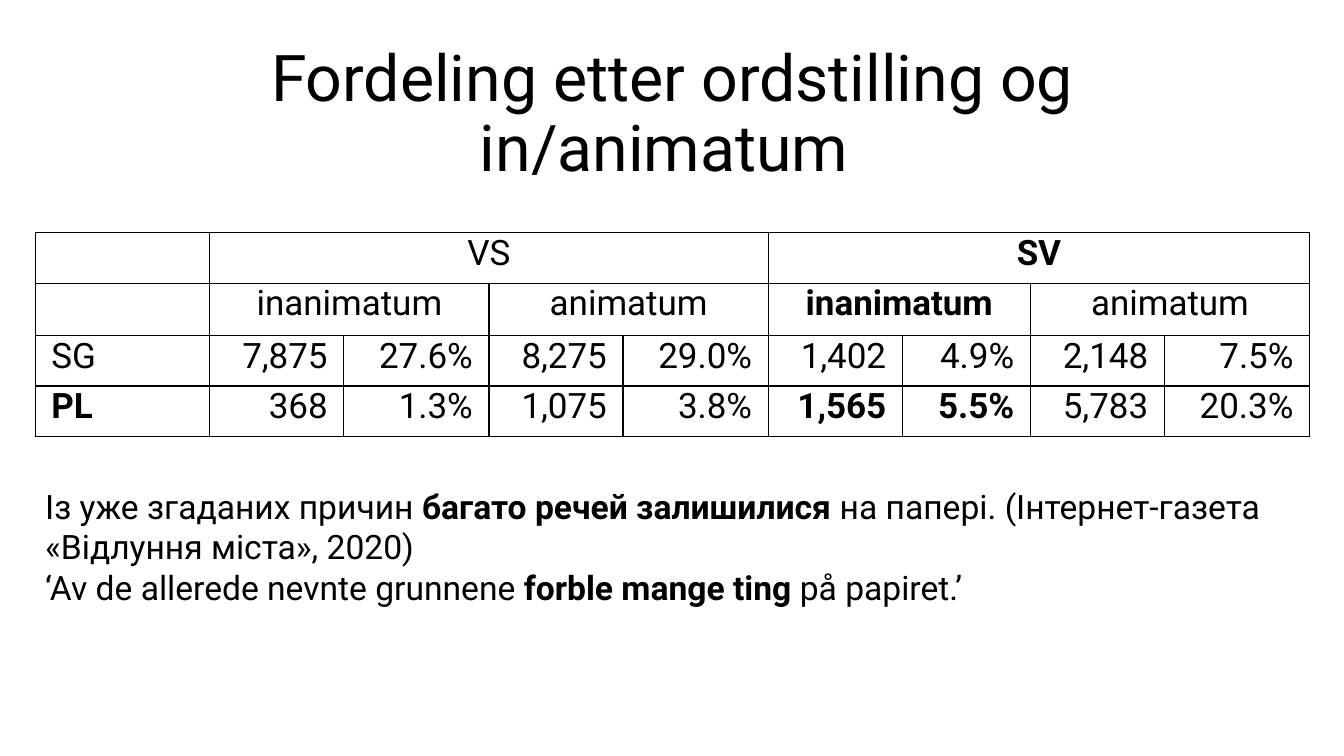
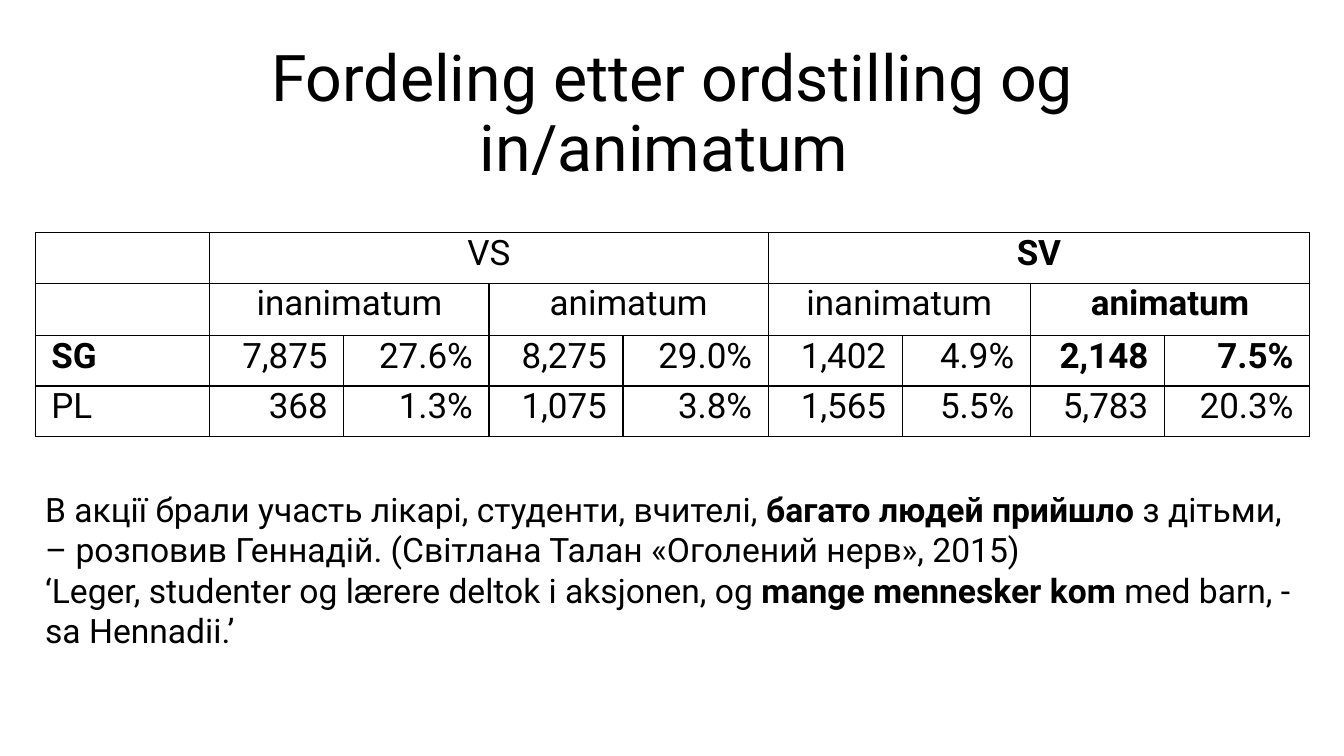
from dataclasses import dataclass

from lxml import etree
from pptx import Presentation
from pptx.dml import color
from pptx.enum import text as t
from pptx.oxml import ns
from pptx.util import Inches, Pt

BLACK = color.RGBColor(0x00, 0x00, 0x00)
WHITE = color.RGBColor(0xFF, 0xFF, 0xFF)
FONT = "Roboto"
TITLE = "Fordeling etter ordstilling og in/animatum "
LEFT, WIDTH = 0.35, 12.63
COLUMN_WIDTHS = (1.73, 1.33, 1.44, 1.33, 1.44, 1.33, 1.27, 1.33, 1.44)
ROW_HEIGHTS = (0.5, 0.52, 0.5, 0.5)
ORDERS = ("VS", "SV")
ANIMACY = ("inanimatum", "animatum") * len(ORDERS)
NUMBERS = {
    "SG": ("7,875", "27.6%", "8,275", "29.0%", "1,402", "4.9%", "2,148", "7.5%"),
    "PL": ("368", "1.3%", "1,075", "3.8%", "1,565", "5.5%", "5,783", "20.3%"),
}


@dataclass(frozen=True)
class Example:
    """A highlighted table group with sentences split as plain, bold, plain."""
    number: str
    group: int
    top: float
    height: float
    sentences: tuple[tuple[str, str, str], ...]


EXAMPLES = (
    Example("PL", 2, 4.77, 1.31, (
        ("Із уже згаданих причин ", "багато речей залишилися ",
         "на папері. (Інтернет-газета «Відлуння міста», 2020)"),
        ("‘Av de allerede nevnte grunnene ", "forble mange ting ", "på papiret.’"),
    )),
    Example("SG", 3, 4.8, 2.02, (
        ("В акції брали участь лікарі, студенти, вчителі, ", "багато людей прийшло ",
         "з дітьми, – розповив Геннадій. (Світлана Талан «Оголений нерв», 2015)"),
        ("‘Leger, studenter og lærere deltok i aksjonen, og ", "mange mennesker kom ",
         "med barn, - sa Hennadii.’"),
    )),
)


def add_text(paragraph, content: str, *, size: float, bold: bool = False,
             align=t.PP_ALIGN.LEFT) -> None:
    """Append a formatted run to a paragraph."""
    paragraph.alignment = align
    run = paragraph.add_run()
    run.text = content
    run.font.name = FONT
    run.font.size = Pt(size)
    run.font.bold = bold
    run.font.color.rgb = BLACK


def style_cell(cell) -> None:
    """Give a cell thin black borders, a white fill and its insets."""
    properties = cell._tc.get_or_add_tcPr()
    for side in ("lnL", "lnR", "lnT", "lnB"):
        line = etree.SubElement(properties, ns.qn(f"a:{side}"), w=str(Pt(1)))
        fill = etree.SubElement(line, ns.qn("a:solidFill"))
        etree.SubElement(fill, ns.qn("a:srgbClr"), val=str(BLACK))
    cell.fill.solid()
    cell.fill.fore_color.rgb = WHITE
    cell.margin_left = cell.margin_right = Inches(0.16)
    cell.margin_top = cell.margin_bottom = 0


def add_title(slide) -> None:
    """Place the shared title in the title placeholder."""
    title = slide.shapes.title
    title.left, title.top = Inches(0.7), Inches(0.46)
    title.width, title.height = Inches(11.93), Inches(1.37)
    frame = title.text_frame
    frame.word_wrap = True
    frame.auto_size = t.MSO_AUTO_SIZE.NONE
    frame.vertical_anchor = t.MSO_ANCHOR.MIDDLE
    frame.margin_left = frame.margin_right = Inches(0.2)
    paragraph = frame.paragraphs[0]
    paragraph.line_spacing = 0.9
    add_text(paragraph, TITLE, size=46, align=t.PP_ALIGN.CENTER)


def add_distribution(slide, example: Example) -> None:
    """Draw the distribution table with one group in bold."""
    table = slide.shapes.add_table(
        len(ROW_HEIGHTS), len(COLUMN_WIDTHS), Inches(LEFT), Inches(2.31),
        Inches(WIDTH), Inches(sum(ROW_HEIGHTS))).table
    table.first_row = table.horz_banding = False
    for column, width in zip(table.columns, COLUMN_WIDTHS):
        column.width = Inches(width)
    for row, height in zip(table.rows, ROW_HEIGHTS):
        row.height = Inches(height)
    for cell in table.iter_cells():
        style_cell(cell)

    def write(row: int, column: int, content: str, bold: bool, align) -> None:
        """Fill one table cell."""
        add_text(table.cell(row, column).text_frame.paragraphs[0], content,
                 size=25, bold=bold, align=align)

    for row, labels in enumerate((ORDERS, ANIMACY)):
        span = 8 // len(labels)
        for index, label in enumerate(labels):
            first = 1 + index * span
            table.cell(row, first).merge(table.cell(row, first + span - 1))
            bold = index == example.group * len(labels) // len(ANIMACY)
            write(row, first, label, bold, t.PP_ALIGN.CENTER)
    for row, (number, values) in enumerate(NUMBERS.items(), start=2):
        chosen = number == example.number
        write(row, 0, number, chosen, t.PP_ALIGN.LEFT)
        for index, value in enumerate(values):
            bold = chosen and index // 2 == example.group
            write(row, index + 1, value, bold, t.PP_ALIGN.RIGHT)


def add_sentences(slide, example: Example) -> None:
    """Write the example sentence and its translation below the table."""
    frame = slide.shapes.add_textbox(
        Inches(LEFT), Inches(example.top), Inches(WIDTH), Inches(example.height)).text_frame
    frame.word_wrap = True
    frame.auto_size = t.MSO_AUTO_SIZE.SHAPE_TO_FIT_TEXT
    for index, parts in enumerate(example.sentences):
        paragraph = frame.add_paragraph() if index else frame.paragraphs[0]
        for part, bold in zip(parts, (False, True, False)):
            add_text(paragraph, part, size=24, bold=bold)


def main() -> None:
    """Build and save the presentation."""
    presentation = Presentation()
    presentation.slide_width = Inches(13.33)
    presentation.slide_height = Inches(7.5)
    for example in EXAMPLES:
        slide = presentation.slides.add_slide(presentation.slide_layouts[5])
        add_title(slide)
        add_distribution(slide, example)
        add_sentences(slide, example)
    presentation.save("out.pptx")


if __name__ == "__main__":
    main()
